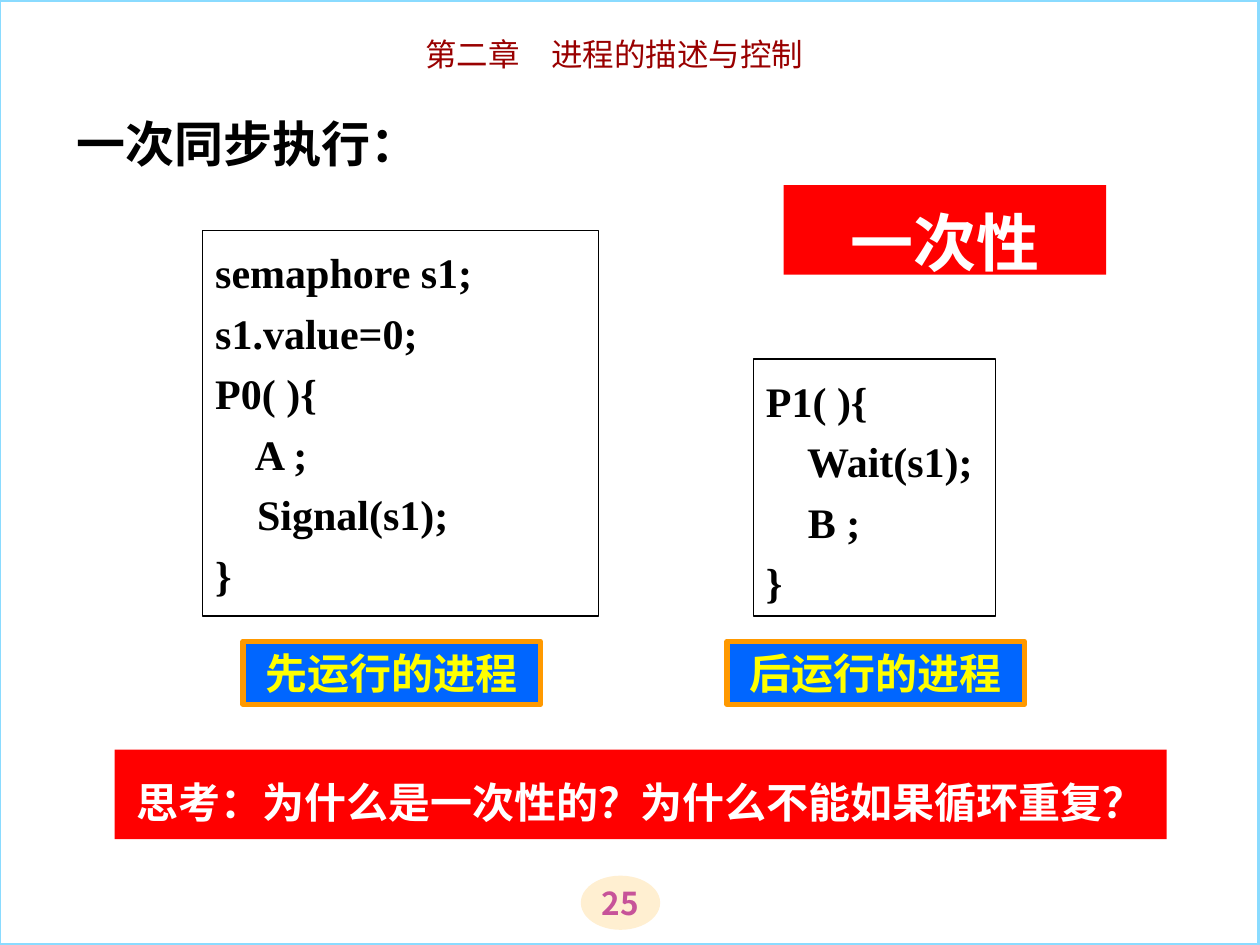
from pptx import Presentation
from pptx.dml.color import RGBColor
from pptx.enum.shapes import MSO_SHAPE as SHAPE
from pptx.enum.text import MSO_ANCHOR as ANCHOR, MSO_AUTO_SIZE as AUTO, PP_ALIGN as ALIGN
from pptx.oxml.ns import qn
from pptx.util import Inches, Pt

BLACK = RGBColor(0x00, 0x00, 0x00)
WHITE = RGBColor(0xFF, 0xFF, 0xFF)
RED = RGBColor(0xFF, 0x00, 0x00)
BLUE = RGBColor(0x00, 0x66, 0xFF)
ORANGE = RGBColor(0xFF, 0x99, 0x00)
YELLOW = RGBColor(0xFF, 0xFF, 0x00)
MAROON = RGBColor(0x99, 0x00, 0x00)
SKY = RGBColor(0x8A, 0xDB, 0xFF)
CREAM = RGBColor(0xFF, 0xEF, 0xD1)
PINK = RGBColor(0xC7, 0x53, 0x99)

SERIF, SANS_JP, SANS_SC = "Times New Roman", "Noto Sans CJK JP", "Noto Sans CJK SC"

P0_CODE = ["semaphore s1;", "s1.value=0;", "P0( ){", "    A ;", "    Signal(s1);", "}"]
P1_CODE = ["P1( ){", "    Wait(s1);", "    B ;", "}"]


def write(sp, lines, size, color, bold=True, font=SERIF, east_asian=SANS_SC,
          align=ALIGN.LEFT, spacing=None, anchor=ANCHOR.TOP):
    tf = sp.text_frame
    tf.word_wrap = True
    tf.auto_size = AUTO.NONE
    tf.vertical_anchor = anchor
    for i, line in enumerate(lines):
        p = tf.paragraphs[0] if i == 0 else tf.add_paragraph()
        p.alignment = align
        p.space_before = Pt(0)
        if spacing:
            p.line_spacing = spacing
        r = p.add_run()
        r.text = line
        r.font.name, r.font.size, r.font.bold = font, Pt(size), bold
        r.font.color.rgb = color
        ea = r.font._element.makeelement(qn("a:ea"), {"typeface": east_asian})
        r.font._element.find(qn("a:latin")).addnext(ea)


def add_box(s, box, kind=SHAPE.RECTANGLE, fill=None, line=None, width=0.75):
    sp = s.shapes.add_shape(kind, *map(Inches, box))
    sp.shadow.inherit = False
    if fill is None:
        sp.fill.background()
    else:
        sp.fill.solid()
        sp.fill.fore_color.rgb = fill
    if line is None:
        sp.line.fill.background()
    else:
        sp.line.color.rgb = line
        sp.line.width = Pt(width)
    return sp


def add_frame(s, box):
    add_box(s, box, line=SKY, width=2.25)


def add_page_number(s, box):
    sp = add_box(s, box, SHAPE.OVAL, fill=CREAM)
    tf = sp.text_frame
    tf.margin_left = tf.margin_right = tf.margin_top = tf.margin_bottom = 0
    write(sp, ["25"], 18, PINK, font=SANS_SC, align=ALIGN.CENTER, anchor=ANCHOR.MIDDLE)


def add_chapter(s, box):
    sp = s.shapes.add_textbox(*map(Inches, box))
    write(sp, ["第二章　进程的描述与控制"], 18, MAROON, bold=False, font=SANS_JP,
          east_asian=SANS_JP, align=ALIGN.CENTER)


def place_title(s, box):
    sp = s.shapes.title
    sp.left, sp.top, sp.width, sp.height = map(Inches, box)
    write(sp, ["一次同步执行："], 28, BLACK, spacing=1.2)


def add_code(s, box, lines):
    write(add_box(s, box, line=BLACK), lines, 24, BLACK, spacing=1.2)


def add_caption(s, box, text):
    sp = add_box(s, box, fill=BLUE, line=ORANGE, width=3)
    write(sp, [text], 24, YELLOW, align=ALIGN.CENTER)


def add_banner(s, box, text, size):
    write(add_box(s, box, fill=RED), [text], size, WHITE, align=ALIGN.CENTER,
          spacing=1.3, anchor=ANCHOR.MIDDLE)


def main():
    prs = Presentation()
    prs.slide_width, prs.slide_height = Inches(10), Inches(7.5)
    s = prs.slides.add_slide(prs.slide_layouts[5])

    # Page furniture
    add_page_number(s, (4.61, 6.95, 0.63, 0.43))
    add_frame(s, (-0.01, 0, 10, 7.5))
    add_chapter(s, (2.08, 0.23, 5.59, 0.4))
    place_title(s, (0.51, 0.76, 8.98, 0.71))

    # The two processes
    add_code(s, (1.61, 1.83, 3.14, 3.06), P0_CODE)
    add_code(s, (5.98, 2.85, 1.92, 2.04), P1_CODE)
    for left, text in ((1.93, "先运行的进程"), (5.77, "后运行的进程")):
        add_caption(s, (left, 5.09, 2.36, 0.5), text)

    # Red banners
    add_banner(s, (6.22, 1.47, 2.56, 0.71), "一次性", 36)
    add_banner(s, (0.91, 5.95, 8.35, 0.71),
               "思考：为什么是一次性的？为什么不能如果循环重复？", 24)

    prs.save("out.pptx")


if __name__ == "__main__":
    main()
